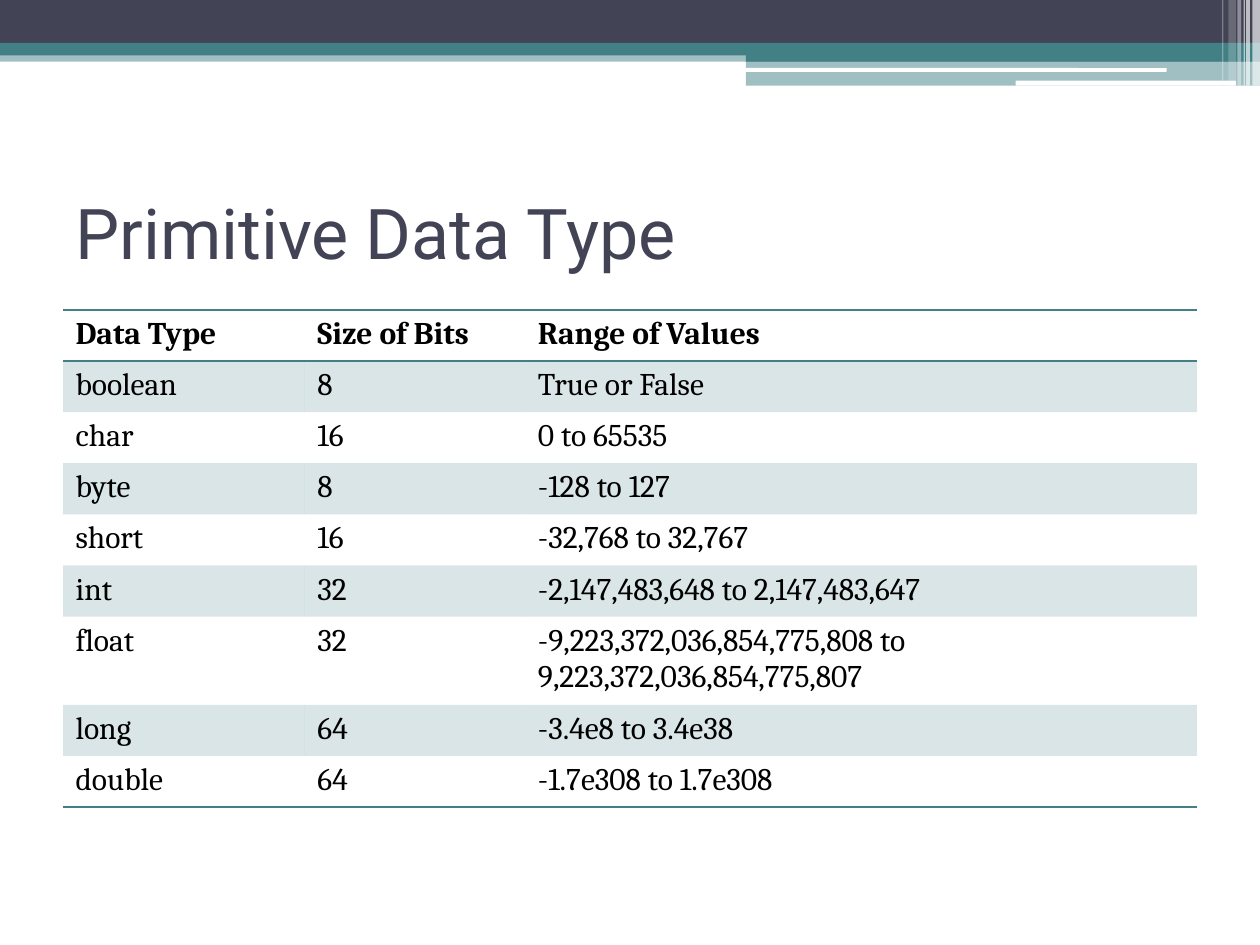
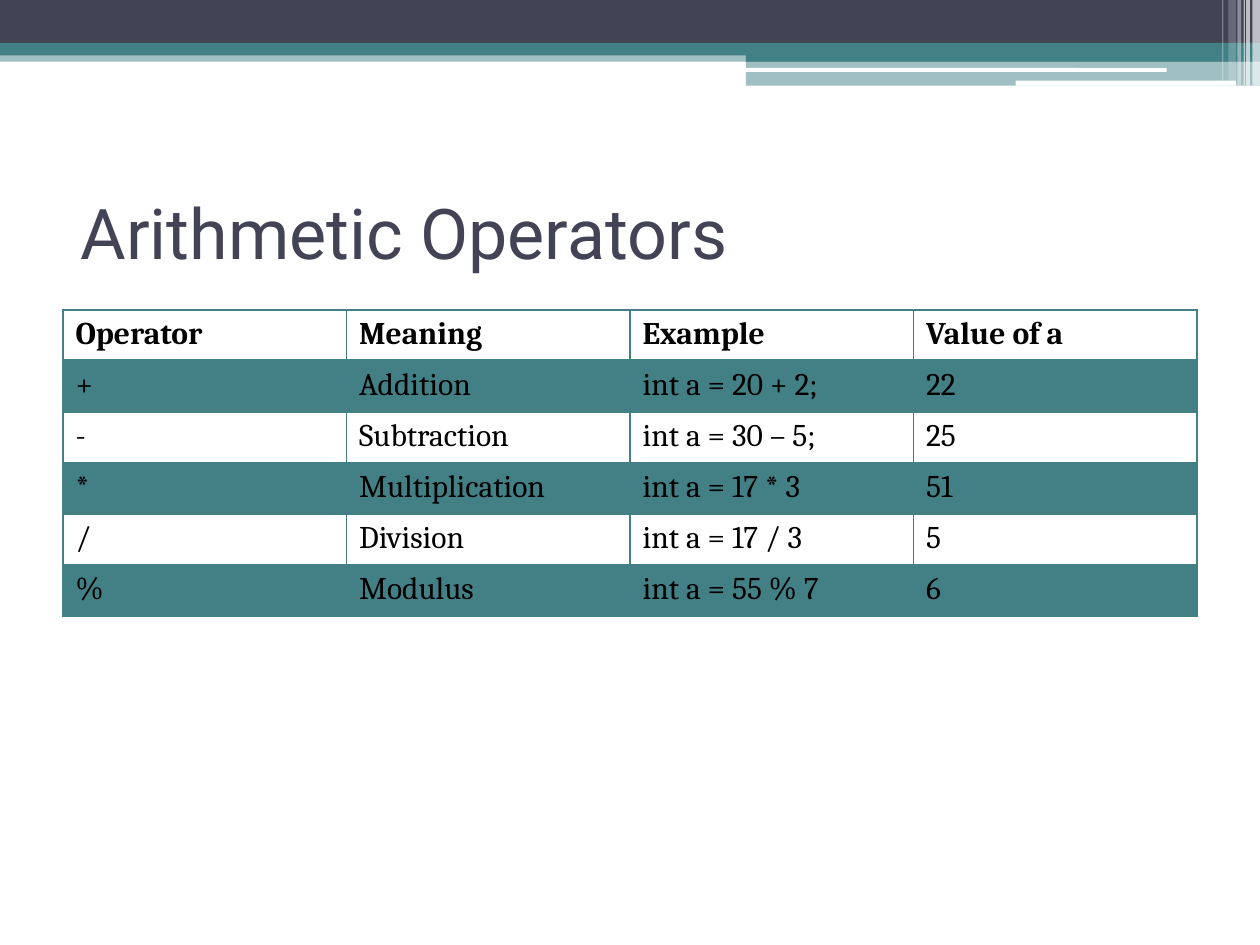
"""Build two Java reference slides: primitive data types and arithmetic operators."""
from dataclasses import dataclass

from lxml import etree
from pptx import Presentation
from pptx import util as u
from pptx.dml import color
from pptx.enum import shapes, text
from pptx.oxml import ns

COLORS = {"navy": "424456", "teal": "438086", "white": "FFFFFF", "black": "000000"}
TITLE_FORMAT = {"name": "Roboto", "size": u.Pt(40), "bold": False}
CELL_FORMAT = {"name": "Cambria", "size": u.Pt(18)}
NO_STYLE = "{2D5ABB26-0587-4C30-8999-92F81FD0307C}"
BAND_OPACITY = 20
LEFT, CONTENT_WIDTH = 0.5, 9


@dataclass(frozen=True)
class Bar:
    left: float
    top: float
    width: float
    height: float
    fill: str
    opacity: int = 100
    rounded: bool = False


@dataclass(frozen=True)
class TableSlide:
    title: str
    widths: tuple[float, ...]
    height: float
    rows: tuple[tuple[str, ...], ...]
    grid: bool = False
    header_rule: int = 1
    title_indent: float = 0


HEADER_BARS = (
    Bar(0, 0.4, 10, 0.09, "teal", 50),
    Bar(0, 0, 10, 0.34, "navy"),
    Bar(0, 0.34, 10, 0.1, "teal"),
    Bar(5.92, 0.39, 4.08, 0.1, "teal"),
    Bar(5.92, 0.48, 4.08, 0.2, "teal", 50),
    Bar(5.91, 0.54, 3.35, 0.03, "white", rounded=True),
    Bar(8.06, 0.64, 1.75, 0.04, "white", rounded=True),
    Bar(9.94, 0, 0.06, 0.68, "white", 65),
    Bar(9.89, 0, 0.03, 0.68, "white", 65),
    Bar(9.87, 0, 0.01, 0.68, "white", 60),
    Bar(9.82, 0, 0.03, 0.68, "white", 40),
    Bar(9.75, 0, 0.06, 0.64, "white", 20),
    Bar(9.7, 0, 0.01, 0.64, "white", 30),
)

TABLE_SLIDES = (
    TableSlide(
        "Primitive Data Type", (1.92, 1.75, 5.33), 3.65,
        (
            ("Data Type", "Size of Bits", "Range of Values"),
            ("boolean", "8", "True or False"),
            ("char", "16", "0 to 65535"),
            ("byte", "8", "-128 to 127"),
            ("short", "16", "-32,768 to 32,767"),
            ("int", "32", "-2,147,483,648 to 2,147,483,647"),
            ("float", "32", "-9,223,372,036,854,775,808 to 9,223,372,036,854,775,807"),
            ("long", "64", "-3.4e8 to 3.4e38"),
            ("double", "64", "-1.7e308 to 1.7e308"),
        ),
    ),
    TableSlide(
        "Arithmetic Operators", (2.25,) * 4, 2.43,
        (
            ("Operator", "Meaning", "Example", "Value of a"),
            ("+", "Addition", "int a = 20 + 2;", "22"),
            ("-", "Subtraction", "int a = 30 – 5;", "25"),
            ("*", "Multiplication", "int a = 17 * 3", "51"),
            ("/", "Division", "int a = 17 / 3", "5"),
            ("%", "Modulus", "int a = 55 % 7", "6"),
        ),
        grid=True, header_rule=2, title_indent=0.04,
    ),
)


def rgb(name: str) -> color.RGBColor:
    return color.RGBColor.from_string(COLORS[name])


def apply_format(target, values: dict) -> None:
    for attribute, value in values.items():
        setattr(target, attribute, value)


def set_fill(fill, name: str, opacity: int = 100) -> None:
    fill.solid()
    fill.fore_color.rgb = rgb(name)
    if opacity < 100:
        tint = fill._xPr.find(".//" + ns.qn("a:srgbClr"))
        etree.SubElement(tint, ns.qn("a:alpha"), val=str(opacity * 1000))


def write_text(frame, content: str, values: dict, name: str):
    paragraph = frame.paragraphs[0]
    run = paragraph.add_run()
    run.text = content
    apply_format(run.font, values)
    run.font.color.rgb = rgb(name)
    return paragraph


def add_bar(slide, bar: Bar) -> None:
    kind = shapes.MSO_SHAPE.ROUNDED_RECTANGLE if bar.rounded else shapes.MSO_SHAPE.RECTANGLE
    box = (u.Inches(side) for side in (bar.left, bar.top, bar.width, bar.height))
    shape = slide.shapes.add_shape(kind, *box)
    shape.shadow.inherit = False
    shape.line.fill.background()
    set_fill(shape.fill, bar.fill, bar.opacity)


def add_title(slide, content: str, indent: float) -> None:
    shape = slide.shapes.add_textbox(
        u.Inches(LEFT), u.Inches(1.25), u.Inches(CONTENT_WIDTH), u.Inches(1.17))
    frame = shape.text_frame
    apply_format(frame, {
        "word_wrap": True,
        "vertical_anchor": text.MSO_ANCHOR.MIDDLE,
        "margin_left": u.Inches(0.1 + indent),
    })
    write_text(frame, content, TITLE_FORMAT, "navy")


def cell_borders(spec: TableSlide, row: int, column: int) -> dict[str, int]:
    """Return the border widths in points by side, in schema order."""
    last_row = row == len(spec.rows) - 1
    bottom = spec.header_rule if row == 0 else int(spec.grid or last_row)
    return {
        "L": int(spec.grid and column == 0),
        "R": int(spec.grid),
        "T": int(row == 0),
        "B": bottom,
    }


def set_borders(cell, widths: dict[str, int]) -> None:
    properties = cell._tc.get_or_add_tcPr()
    for side, width in widths.items():
        if width:
            line = etree.SubElement(properties, ns.qn(f"a:ln{side}"), w=str(u.Pt(width)))
            fill = etree.SubElement(line, ns.qn("a:solidFill"))
            etree.SubElement(fill, ns.qn("a:srgbClr"), val=COLORS["teal"])


def add_table(slide, spec: TableSlide) -> None:
    table = slide.shapes.add_table(
        len(spec.rows), len(spec.widths), u.Inches(LEFT), u.Inches(2.46),
        u.Inches(CONTENT_WIDTH), u.Inches(spec.height)).table
    table._tbl.tblPr.find(ns.qn("a:tableStyleId")).text = NO_STYLE
    for column, width in zip(table.columns, spec.widths):
        column.width = u.Inches(width)
    for row, values in enumerate(spec.rows):
        for column, content in enumerate(values):
            cell = table.cell(row, column)
            set_borders(cell, cell_borders(spec, row, column))
            if row % 2:
                set_fill(cell.fill, "teal", BAND_OPACITY)
            else:
                cell.fill.background()
            write_text(cell.text_frame, content, CELL_FORMAT | {"bold": row == 0}, "black")


def main() -> None:
    presentation = Presentation()
    apply_format(presentation, {"slide_width": u.Inches(10), "slide_height": u.Inches(7.5)})
    for spec in TABLE_SLIDES:
        slide = presentation.slides.add_slide(presentation.slide_layouts[6])
        set_fill(slide.background.fill, "white")
        for bar in HEADER_BARS:
            add_bar(slide, bar)
        add_title(slide, spec.title, spec.title_indent)
        add_table(slide, spec)
    presentation.save("out.pptx")


if __name__ == "__main__":
    main()
